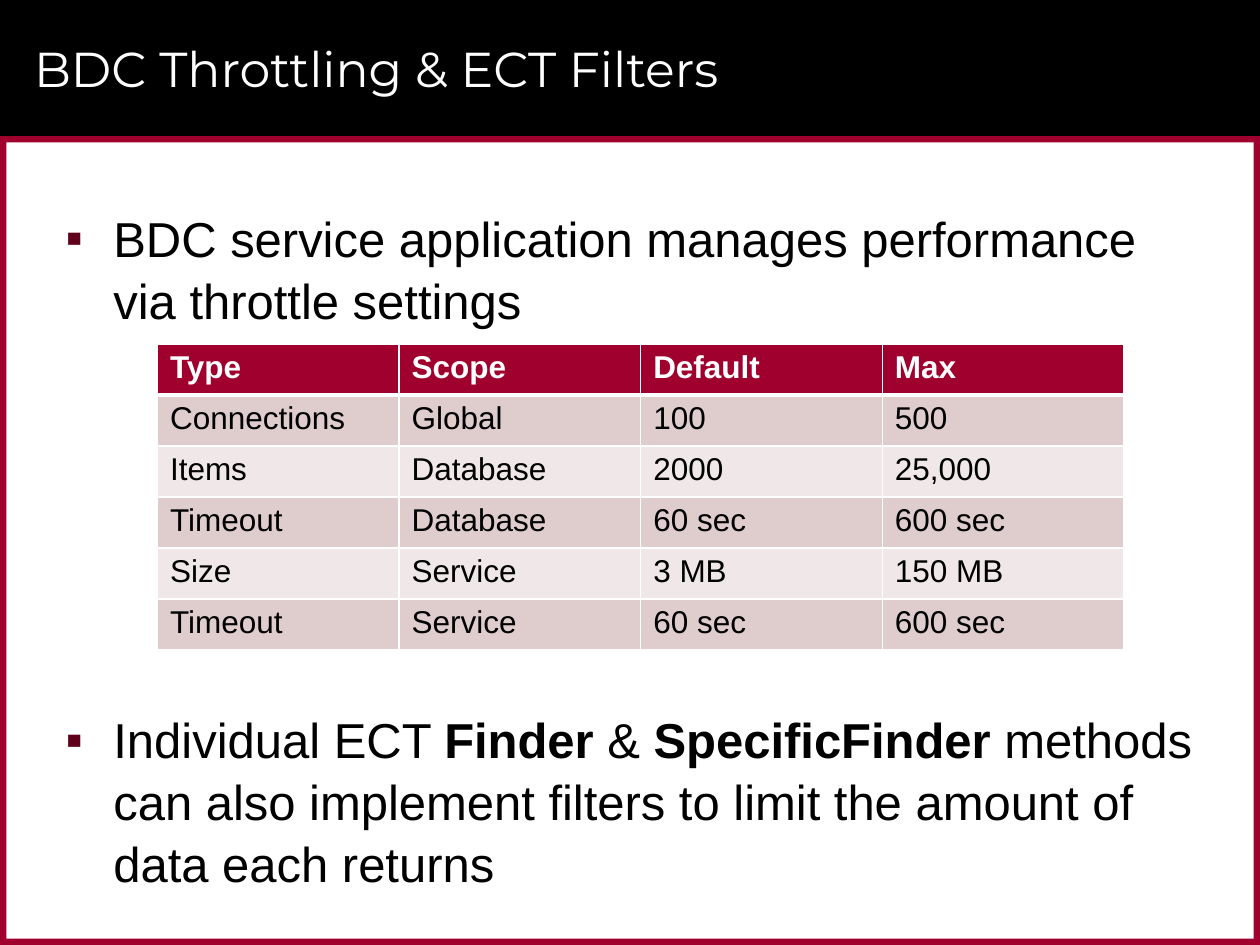
import dataclasses

import lxml.etree
import pptx
import pptx.dml.color
import pptx.enum.shapes
import pptx.enum.text
import pptx.oxml.ns
import pptx.util

Inches = pptx.util.Inches
Pt = pptx.util.Pt
qn = pptx.oxml.ns.qn

COLORS = {
    "black": "000000",
    "white": "FFFFFF",
    "crimson": "9F002D",
    "bullet": "60001B",
    "odd_row": "DFCCCD",
    "even_row": "F0E7E8",
}
BODY_FONT = "Arial"
TITLE_FONT = "Montserrat"


@dataclasses.dataclass
class Bar:
    left: float
    top: float
    width: float
    height: float
    color: str


@dataclasses.dataclass
class Bullet:
    runs: list[tuple[str, bool]]
    space_before: float


HEADER_HEIGHT = 1.08
EDGE = 0.05
BARS = [
    Bar(0, 0, 10, HEADER_HEIGHT, "black"),
    Bar(0, HEADER_HEIGHT, 10, EDGE, "crimson"),
    Bar(0, 7.5 - EDGE, 10, EDGE, "crimson"),
    Bar(10 - EDGE, HEADER_HEIGHT, EDGE, 7.5 - HEADER_HEIGHT, "crimson"),
    Bar(0, HEADER_HEIGHT, EDGE, 7.5 - HEADER_HEIGHT, "crimson"),
]
BULLETS = [
    Bullet([("BDC service application manages performance via throttle settings", False)], 0),
    # The second bullet starts below the table
    Bullet([
        ("Individual ECT ", False),
        ("Finder", True),
        (" & ", False),
        ("SpecificFinder", True),
        (" methods can also implement filters to limit the amount of data each returns", False),
    ], 214),
]
THROTTLES = [
    ("Type", "Scope", "Default", "Max"),
    ("Connections", "Global", "100", "500"),
    ("Items", "Database", "2000", "25,000"),
    ("Timeout", "Database", "60 sec", "600 sec"),
    ("Size", "Service", "3 MB", "150 MB"),
    ("Timeout", "Service", "60 sec", "600 sec"),
]


def rgb(name: str) -> pptx.dml.color.RGBColor:
    return pptx.dml.color.RGBColor.from_string(COLORS[name])


def place(shape, left: float, top: float, width: float, height: float) -> None:
    shape.left, shape.top = Inches(left), Inches(top)
    shape.width, shape.height = Inches(width), Inches(height)


def add_run(paragraph, text: str, font: str, size: float, color: str, bold: bool = False) -> None:
    run = paragraph.add_run()
    run.text = text
    run.font.name = font
    run.font.size = Pt(size)
    run.font.bold = bold
    run.font.color.rgb = rgb(color)


def add_bar(slide, bar: Bar, depth: int) -> None:
    shape = slide.shapes.add_shape(
        pptx.enum.shapes.MSO_SHAPE.RECTANGLE,
        Inches(bar.left), Inches(bar.top), Inches(bar.width), Inches(bar.height))
    shape.shadow.inherit = False
    shape.fill.solid()
    shape.fill.fore_color.rgb = rgb(bar.color)
    shape.line.fill.background()
    # Keep the frame behind the placeholders
    slide.shapes._spTree.insert(2 + depth, shape._element)


def set_bullet(paragraph) -> None:
    properties = paragraph._p.get_or_add_pPr()
    properties.set("marL", str(Inches(0.38)))
    properties.set("indent", str(-Inches(0.38)))
    color = lxml.etree.SubElement(properties, qn("a:buClr"))
    lxml.etree.SubElement(color, qn("a:srgbClr"), val=COLORS["bullet"])
    lxml.etree.SubElement(properties, qn("a:buFont"), typeface=BODY_FONT)
    lxml.etree.SubElement(properties, qn("a:buChar"), char="▪")


def add_title(slide) -> None:
    title = slide.shapes.title
    place(title, 0.17, 0.08, 9.42, 0.92)
    frame = title.text_frame
    frame.auto_size = pptx.enum.text.MSO_AUTO_SIZE.NONE
    frame.vertical_anchor = pptx.enum.text.MSO_ANCHOR.MIDDLE
    paragraph = frame.paragraphs[0]
    paragraph.alignment = pptx.enum.text.PP_ALIGN.LEFT
    add_run(paragraph, "BDC Throttling & ECT Filters", TITLE_FONT, 28, "white")


def add_bullets(slide, bullets: list[Bullet]) -> None:
    body = slide.placeholders[1]
    place(body, 0.42, 1.58, 9.17, 5.67)
    frame = body.text_frame
    frame.auto_size = pptx.enum.text.MSO_AUTO_SIZE.NONE
    for index, bullet in enumerate(bullets):
        paragraph = frame.add_paragraph() if index else frame.paragraphs[0]
        set_bullet(paragraph)
        paragraph.line_spacing = 1.05
        paragraph.space_before = Pt(bullet.space_before)
        paragraph.space_after = Pt(2)
        for text, bold in bullet.runs:
            add_run(paragraph, text, BODY_FONT, 28, "black", bold)


def set_borders(cell, widths: dict[str, float]) -> None:
    properties = cell._tc.get_or_add_tcPr()
    for side, width in widths.items():
        line = lxml.etree.SubElement(properties, qn(f"a:{side}"), w=str(Pt(width)))
        fill = lxml.etree.SubElement(line, qn("a:solidFill"))
        lxml.etree.SubElement(fill, qn("a:srgbClr"), val=COLORS["white"])


def add_throttle_table(slide, rows: list[tuple[str, ...]]) -> None:
    table = slide.shapes.add_table(
        len(rows), len(rows[0]),
        Inches(1.25), Inches(2.73), Inches(7.67), Inches(2.43)).table
    for row_index, values in enumerate(rows):
        is_header = row_index == 0
        if is_header:
            fill_color = "crimson"
        else:
            fill_color = "odd_row" if row_index % 2 else "even_row"
        for column_index, value in enumerate(values):
            cell = table.cell(row_index, column_index)
            set_borders(cell, {
                "lnL": 1, "lnR": 1,
                "lnT": 3 if row_index == 1 else 1,
                "lnB": 3 if is_header else 1,
            })
            cell.fill.solid()
            cell.fill.fore_color.rgb = rgb(fill_color)
            add_run(cell.text_frame.paragraphs[0], value, BODY_FONT, 18,
                    "white" if is_header else "black", is_header)


def main() -> None:
    presentation = pptx.Presentation()
    presentation.slide_width = Inches(10)
    presentation.slide_height = Inches(7.5)
    slide = presentation.slides.add_slide(presentation.slide_layouts[1])

    # Header band and frame
    for depth, bar in enumerate(BARS):
        add_bar(slide, bar, depth)

    # Content
    add_title(slide)
    add_bullets(slide, BULLETS)
    add_throttle_table(slide, THROTTLES)

    presentation.save("out.pptx")


if __name__ == "__main__":
    main()
